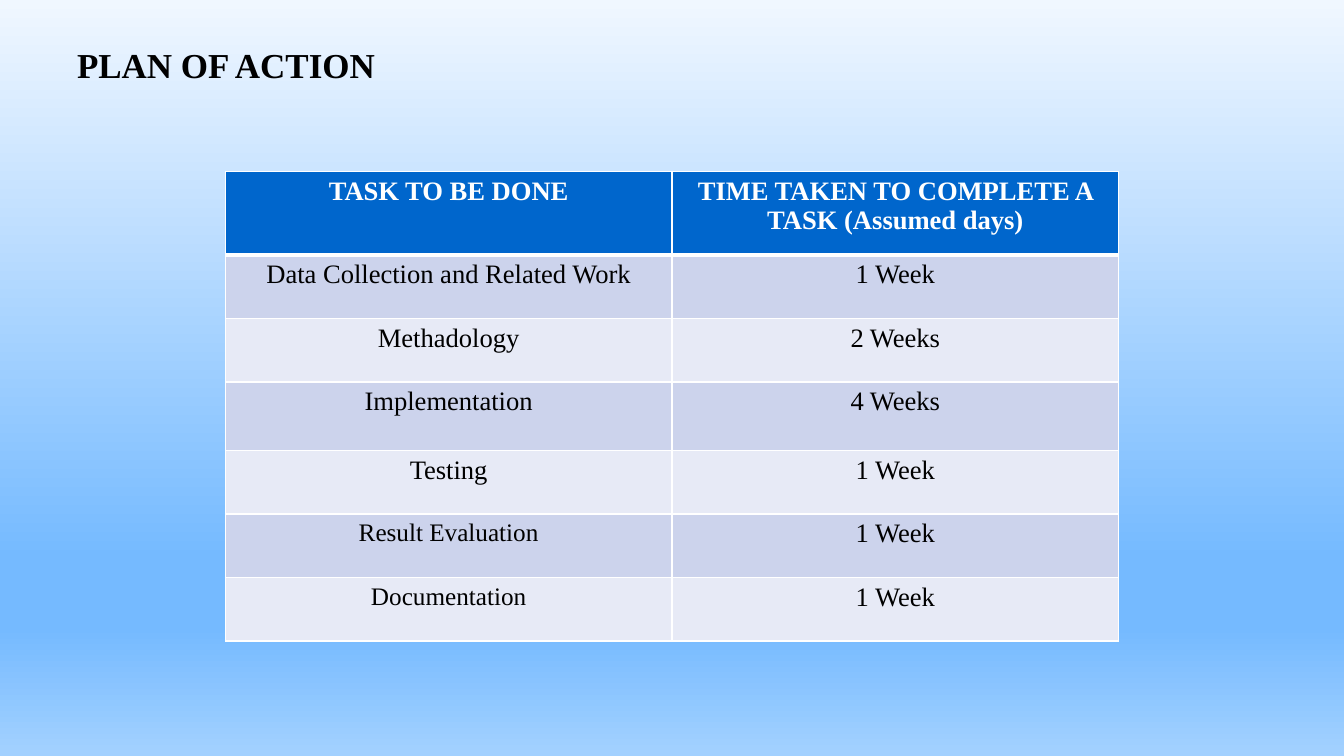
import pptx
import pptx.util
import pptx.dml.color
import pptx.enum.dml
import pptx.enum.text
import pptx.oxml
import pptx.oxml.ns
from pptx.util import Inches, Pt

COLORS = {"sky_top": "F0F7FF", "sky": "75BAFF", "sky_bottom": "A3D1FF",
          "header": "0066CC", "odd": "CCD3EC", "even": "E7EAF6",
          "white": "FFFFFF", "black": "000000"}
NS = pptx.oxml.ns.nsdecls("a")


def write(paragraph, text, size, color, bold):
    run = paragraph.add_run()
    run.text = text
    font_format = {"name": "Times New Roman", "size": Pt(size), "bold": bold}
    for attribute, value in font_format.items():
        setattr(run.font, attribute, value)
    run.font.color.rgb = pptx.dml.color.RGBColor.from_string(COLORS[color])


def border(cell, position, side, width):
    cell._tc.get_or_add_tcPr().insert(position, pptx.oxml.parse_xml(
        f'<a:ln{side} {NS} w="{Pt(width)}"><a:solidFill>'
        f'<a:srgbClr val="{COLORS["white"]}"/></a:solidFill></a:ln{side}>'))


deck = pptx.Presentation()
deck.slide_width, deck.slide_height = Inches(13.33), Inches(7.5)
W, H = deck.slide_width, deck.slide_height
slide = deck.slides.add_slide(deck.slide_layouts[6])

# Sky gradient, top to bottom
sky = slide.background.fill
sky.gradient()
sky.gradient_angle = 270
stops = [(0, "sky_top"), (74, "sky"), (83, "sky"), (100, "sky_bottom")]
stop_list = sky.gradient_stops[0]._gs.getparent()
for old_stop in list(stop_list):
    stop_list.remove(old_stop)
for percent, color in stops:
    stop_list.append(pptx.oxml.parse_xml(
        f'<a:gs {NS} pos="{percent * 1000}"><a:srgbClr val="{COLORS[color]}"/></a:gs>'))

# Heading
heading = slide.shapes.add_textbox(int(W * 0.05), Inches(0.32), int(W * 0.9), Inches(0.64)).text_frame
heading_format = {"word_wrap": True, "vertical_anchor": pptx.enum.text.MSO_ANCHOR.MIDDLE}
for attribute, value in heading_format.items():
    setattr(heading, attribute, value)
write(heading.paragraphs[0], "PLAN OF ACTION", 25, "black", True)

# Plan: task, duration, task text size, row height
plan = [
    ("TASK TO BE DONE", "TIME TAKEN TO COMPLETE A TASK (Assumed days)", 19, 0.83),
    ("Data Collection and Related Work", "1 Week", 19, 0.63),
    ("Methadology", "2 Weeks", 19, 0.63),
    ("Implementation", "4 Weeks", 19, 0.68),
    ("Testing", "1 Week", 19, 0.63),
    ("Result Evaluation", "1 Week", 18, 0.63),
    ("Documentation", "1 Week", 18, 0.63),
]
COLUMN = Inches(4.43)
schedule = slide.shapes.add_table(len(plan), 2, (W - 2 * COLUMN) // 2, Inches(1.7), 2 * COLUMN,
                                  Inches(sum(step[3] for step in plan))).table
for column in schedule.columns:
    column.width = COLUMN

for row, (task, duration, task_size, height) in enumerate(plan):
    schedule.rows[row].height = Inches(height)
    is_header = row == 0
    band = "header" if is_header else ("even", "odd")[row % 2]
    for col, (text, size) in enumerate([(task, task_size), (duration, 19)]):
        cell = schedule.cell(row, col)
        cell.fill.solid()
        cell.fill.fore_color.rgb = pptx.dml.color.RGBColor.from_string(COLORS[band])
        paragraph = cell.text_frame.paragraphs[0]
        paragraph.alignment = pptx.enum.text.PP_ALIGN.CENTER
        write(paragraph, text, size, "white" if is_header else "black", is_header)
        # White grid, heavier under the header
        widths = {"L": 1, "R": 1, "T": 3 if row == 1 else 1, "B": 3 if is_header else 1}
        for position, (side, width) in enumerate(widths.items()):
            border(cell, position, side, width)

deck.save("out.pptx")
